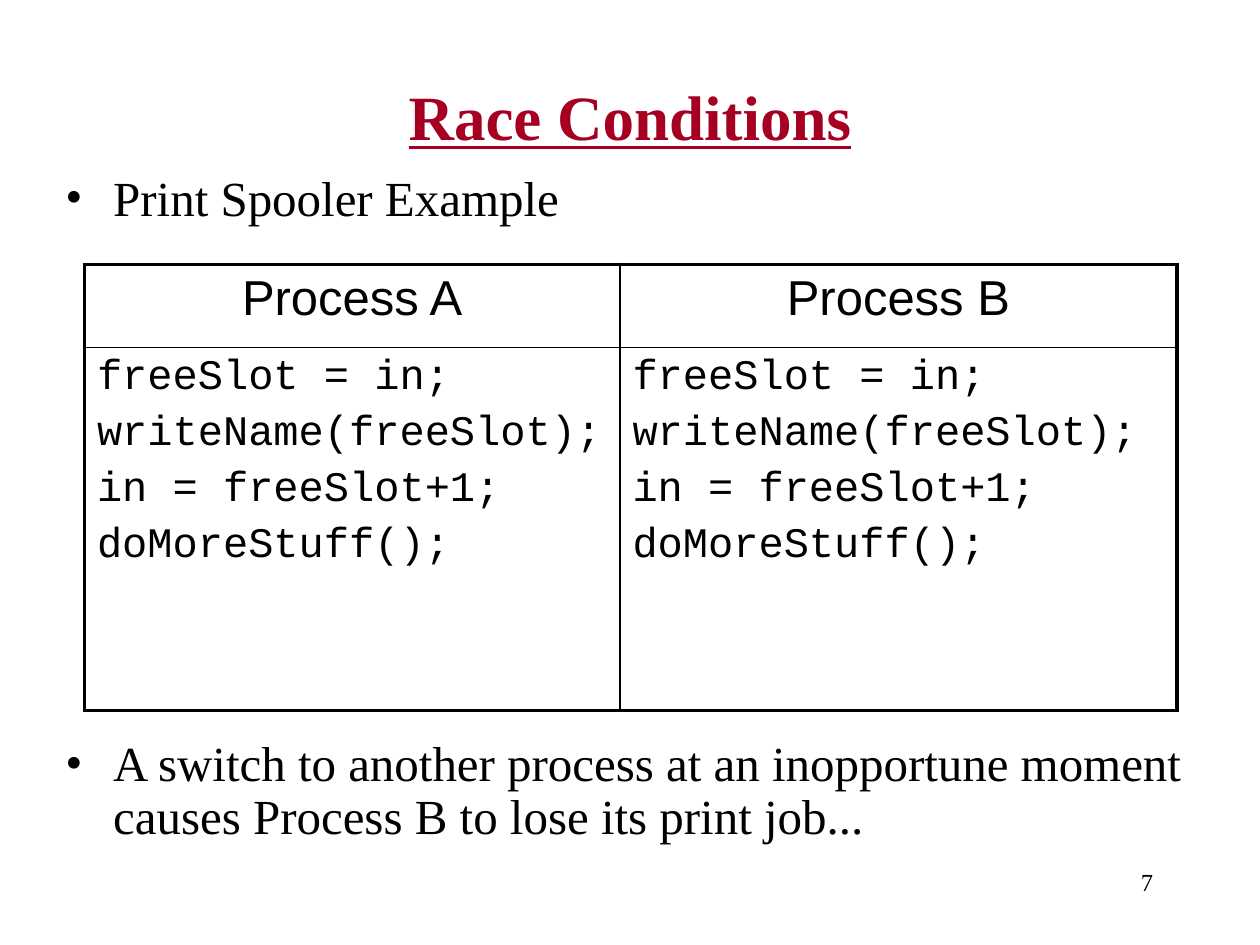
from lxml.etree import SubElement, fromstring
from pptx import Presentation
from pptx.dml.color import RGBColor
from pptx.enum.text import MSO_ANCHOR as Anchor, PP_ALIGN as Align
from pptx.oxml.ns import nsdecls, qn
from pptx.util import Inches, Pt

SERIF, SANS, MONO = "Times New Roman", "Arial", "Courier New"
BLACK, RED = "000000", "A50021"
THICK, THIN = 2.25, 1

CODE = ["freeSlot = in;", "writeName(freeSlot);", "in = freeSlot+1;", "doMoreStuff();"]
ROWS = [[["Process A"], ["Process B"]], [CODE, CODE]]
# Space before each bullet; the second clears the table
POINTS = [
    ("Print Spooler Example", 6),
    ("A switch to another process at an inopportune moment "
     "causes Process B to lose its print job...", 293),
]


def color(code):
    return RGBColor.from_string(code)


class Deck:
    def __init__(self):
        self.prs = Presentation()
        self.prs.slide_width, self.prs.slide_height = Inches(10), Inches(7.5)
        self.slide = self.prs.slides.add_slide(self.prs.slide_layouts[6])

    def style(self, para, text, size, face=SERIF, code=BLACK, align=Align.LEFT):
        para.text, para.alignment = text, align
        font = para.font
        font.name, font.size, font.bold = face, Pt(size), False
        font.color.rgb = color(code)
        return para

    def box(self, x, y, w, h, anchor=Anchor.TOP):
        frame = self.slide.shapes.add_textbox(*map(Inches, (x, y, w, h))).text_frame
        frame.word_wrap, frame.vertical_anchor = True, anchor
        return frame

    def paras(self, frame, count):
        """Yield the first paragraph of a frame, then new ones up to count."""
        yield frame.paragraphs[0]
        for _ in range(count - 1):
            yield frame.add_paragraph()

    def title(self, text):
        frame = self.box(0.75, 0.29, 8.5, 1.25, Anchor.MIDDLE)
        para = self.style(frame.paragraphs[0], text, 36, code=RED, align=Align.CENTER)
        para.font.bold = para.font.underline = True

    def bullets(self, points):
        frame = self.box(0.42, 1.33, 9.58, 5.75)
        for para, (text, gap) in zip(self.paras(frame, len(points)), points):
            self.style(para, text, 28)
            para.line_spacing, para.space_before = 0.9, Pt(gap)
            props = para._p.get_or_add_pPr()
            props.set("marL", str(Inches(0.38)))
            props.set("indent", str(-Inches(0.38)))
            SubElement(props, qn("a:buFont")).set("typeface", SERIF)
            SubElement(props, qn("a:buChar")).set("char", "•")
            # Bullet marks come before the default run style
            props.append(props.find(qn("a:defRPr")))

    def edges(self, cell, widths):
        """Draw the left, right, top and bottom borders of a cell."""
        props = cell._tc.get_or_add_tcPr()
        for i, (side, width) in enumerate(zip("LRTB", widths)):
            props.insert(i, fromstring(
                f'<a:ln{side} {nsdecls("a")} w="{Pt(width)}"><a:solidFill>'
                f'<a:srgbClr val="{BLACK}"/></a:solidFill></a:ln{side}>'))

    def table(self, rows, x, y, cols, heights):
        table = self.slide.shapes.add_table(
            len(heights), len(cols),
            *map(Inches, (x, y, sum(cols), sum(heights)))).table
        table.first_row = table.horz_banding = False
        for col, width in zip(table.columns, cols):
            col.width = Inches(width)
        for row, height in zip(table.rows, heights):
            row.height = Inches(height)
        for r, row in enumerate(rows):
            look = (28, SANS, BLACK, Align.CENTER) if r == 0 else (24, MONO)
            for c, lines in enumerate(row):
                cell = table.cell(r, c)
                cell.fill.background()
                outer = (c == 0, c == len(cols) - 1, r == 0, r == len(rows) - 1)
                self.edges(cell, [THICK if out else THIN for out in outer])
                for para, line in zip(self.paras(cell.text_frame, len(lines)), lines):
                    self.style(para, line, *look).space_before = Pt(look[0] * 0.2)

    def number(self, text):
        frame = self.box(7.17, 6.83, 2.08, 0.5)
        self.style(frame.paragraphs[0], text, 14, align=Align.RIGHT)


def main():
    deck = Deck()
    deck.title("Race Conditions")
    deck.bullets(POINTS)
    deck.table(ROWS, 0.67, 2.1, [4.25, 4.42], [0.66, 2.88])
    deck.number("7")
    deck.prs.save("out.pptx")


if __name__ == "__main__":
    main()
